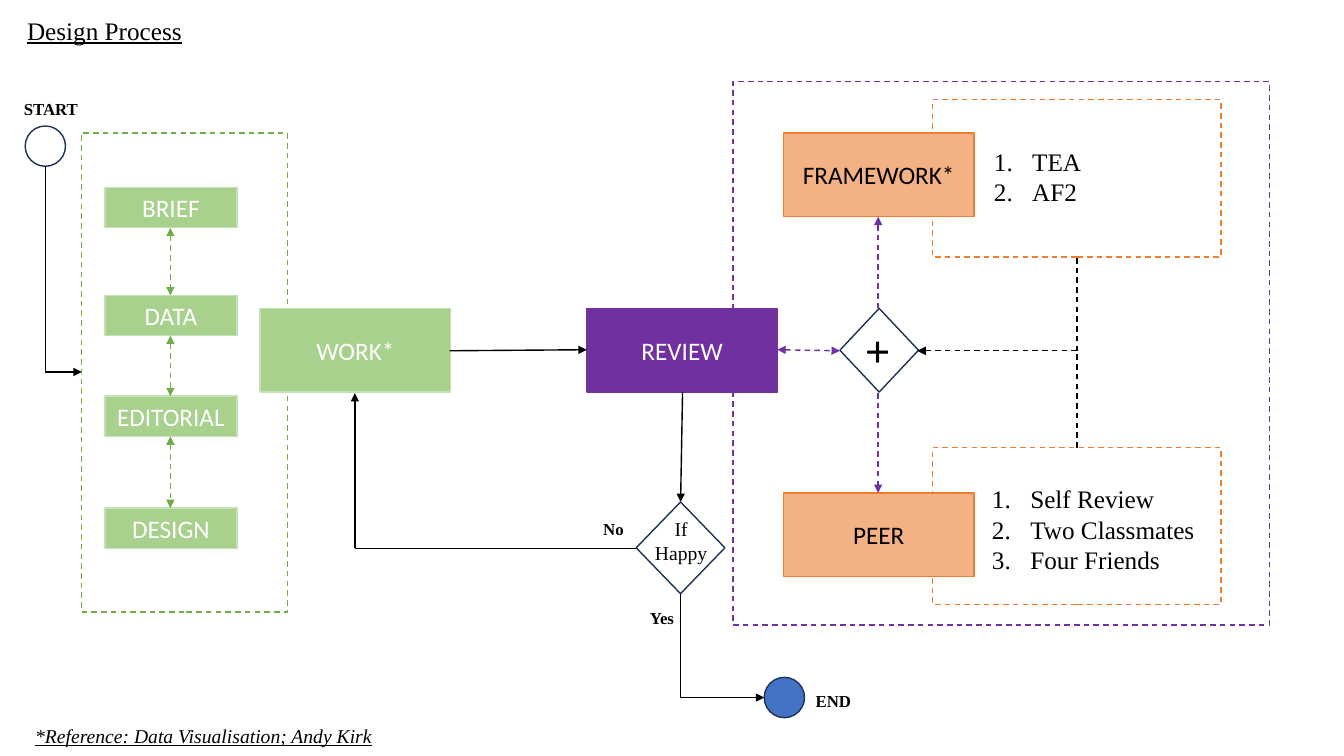
from dataclasses import dataclass

from lxml import etree
from pptx import Presentation
from pptx import util as u
from pptx.dml.color import RGBColor
from pptx.enum import dml, shapes, text
from pptx.oxml.ns import qn


# Colours, fonts and type sizes
@dataclass(frozen=True)
class Theme:
    white: str = "FFFFFF"
    black: str = "000000"
    navy: str = "1E3256"
    blue: str = "4472C4"
    purple: str = "7030A0"
    green: str = "70AD47"
    leaf: str = "A9D18E"
    mint: str = "C5E0B4"
    orange: str = "ED7D31"
    peach: str = "F4B183"
    sans: str = "Calibri"
    serif: str = "Times New Roman"
    plus: int = 32
    body: int = 18
    note: int = 14
    label: int = 12


T = Theme()
KIND = shapes.MSO_SHAPE
MID = text.PP_ALIGN.CENTER


def put(item, **values):
    for name, value in values.items():
        setattr(item, name, value)


def stroke(line, color, dash=False):
    line.color.rgb = RGBColor.from_string(color)
    line.width = u.Pt(1)
    if dash:
        line.dash_style = dml.MSO_LINE.DASH


def write(frame, lines, color=T.black, align=None, **style):
    """Fill a text frame, one paragraph for each line."""
    form = {"name": T.serif, "size": T.body, **style}
    form["size"] = u.Pt(form["size"])
    for i, words in enumerate(lines):
        para = frame.add_paragraph() if i else frame.paragraphs[0]
        para.alignment = align
        run = para.add_run()
        run.text = words
        put(run.font, **form)
        run.font.color.rgb = RGBColor.from_string(color)


def shape(slide, kind, at, fill, line, dash=False):
    item = slide.shapes.add_shape(kind, *map(u.Inches, at))
    item.shadow.inherit = False
    if fill:
        item.fill.solid()
        item.fill.fore_color.rgb = RGBColor.from_string(fill)
    else:
        item.fill.background()
    stroke(item.line, line, dash)
    return item


def box(slide, words, at, fill, line, color):
    """A filled step with a centred name."""
    frame = shape(slide, KIND.RECTANGLE, at, fill, line).text_frame
    put(frame, word_wrap=True, vertical_anchor=text.MSO_ANCHOR.MIDDLE)
    write(frame, [words], color, MID, name=T.sans)


def group(slide, at, line):
    """A dashed frame around related steps."""
    shape(slide, KIND.RECTANGLE, at, T.white, line, dash=True)


def label(slide, lines, at, **style):
    frame = slide.shapes.add_textbox(*map(u.Inches, at)).text_frame
    put(frame, word_wrap=True, auto_size=text.MSO_AUTO_SIZE.SHAPE_TO_FIT_TEXT)
    write(frame, lines, **style)
    return frame


def listing(slide, lines, at):
    """A numbered list with a hanging indent."""
    indent = u.Inches(0.38)
    for para in label(slide, lines, at).paragraphs:
        props = para._p.get_or_add_pPr()
        props.set("marL", str(indent))
        props.set("indent", str(-indent))
        etree.SubElement(props, qn("a:buFont"), typeface="+mj-lt")
        etree.SubElement(props, qn("a:buAutoNum"), type="arabicPeriod")


def arrow(slide, *points, color=T.black, dash=False, both=False):
    """Straight legs through the points, with a head at the last one."""
    legs = list(zip(points, points[1:]))
    for i, (start, end) in enumerate(legs):
        leg = slide.shapes.add_connector(
            shapes.MSO_CONNECTOR.STRAIGHT, *map(u.Inches, start + end))
        stroke(leg.line, color, dash)
        props = leg._element.spPr
        line = props.find(qn("a:ln"))
        if both and i == 0:
            etree.SubElement(line, qn("a:headEnd"), type="triangle")
        if i == len(legs) - 1:
            etree.SubElement(line, qn("a:tailEnd"), type="triangle")
        etree.SubElement(props, qn("a:effectLst"))


def work(slide):
    """Start and the four linked work stages."""
    group(slide, (0.81, 1.32, 2.04, 4.75), T.green)
    box(slide, "WORK*", (2.58, 3.06, 1.89, 0.83), T.leaf, T.mint, T.white)
    tops = {"BRIEF": 1.86, "DATA": 2.93, "EDITORIAL": 3.93, "DESIGN": 5.04}
    high = 0.4
    for name, top in tops.items():
        box(slide, name, (1.04, top, 1.31, high), T.leaf, T.mint, T.white)
    rows = list(tops.values())
    for above, below in zip(rows, rows[1:]):
        arrow(slide, (1.69, above + high), (1.69, below),
              color=T.green, dash=True, both=True)
    shape(slide, KIND.OVAL, (0.25, 1.25, 0.4, 0.4), None, T.navy)
    arrow(slide, (0.45, 1.65), (0.45, 3.69), (0.81, 3.69))


def review(slide):
    """Review with its framework and peer branches."""
    group(slide, (7.27, 0.81, 5.32, 5.39), T.purple)
    box(slide, "REVIEW", (5.82, 3.06, 1.89, 0.83), T.purple, T.purple, T.white)
    branches = [
        ("FRAMEWORK*", 1.32, 0.99, ["TEA", "AF2"], (9.76, 1.4, 2.04, 0.71)),
        ("PEER", 4.89, 4.44, ["Self Review", "Two Classmates", "Four Friends"],
         (9.74, 4.75, 2.21, 1.01)),
    ]
    for name, top, edge, lines, at in branches:
        group(slide, (9.25, edge, 2.86, 1.56), T.orange)
        box(slide, name, (7.77, top, 1.89, 0.83), T.peach, T.orange, T.black)
        listing(slide, lines, at)
    shape(slide, KIND.DIAMOND, (8.33, 3.06, 0.78, 0.83), None, T.navy)
    label(slide, ["+"], (8.48, 3.15, 0.51, 0.64), size=T.plus, bold=True)
    arrow(slide, (7.71, 3.47), (8.33, 3.48),
          color=T.purple, dash=True, both=True)
    for start, end in ((3.06, 2.15), (3.9, 4.89)):
        arrow(slide, (8.71, start), (8.71, end), color=T.purple, dash=True)
    for edge in (2.56, 4.44):
        arrow(slide, (10.68, edge), (10.68, 3.48), (9.1, 3.48), dash=True)


def choice(slide):
    """The decision, its two outcomes and the end."""
    arrow(slide, (4.46, 3.48), (5.82, 3.47))
    arrow(slide, (6.77, 3.89), (6.75, 4.98))
    shape(slide, KIND.DIAMOND, (6.31, 4.98, 0.88, 0.91), None, T.navy)
    label(slide, ["If", "Happy"], (6.11, 5.08, 1.29, 0.57),
          align=MID, size=T.note)
    arrow(slide, (6.31, 5.44), (3.52, 5.44), (3.52, 3.9))
    arrow(slide, (6.75, 5.89), (6.75, 6.92), (7.58, 6.92))
    shape(slide, KIND.OVAL, (7.58, 6.72, 0.4, 0.4), T.blue, T.navy)


def words(slide):
    """Title, small labels and reference."""
    label(slide, ["Design Process"], (0.17, 0.1, 1.75, 0.4), underline=True)
    tags = {
        "START": (0.1, 0.93, 0.81, 0.3),
        "No": (5.86, 5.1, 0.45, 0.3),
        "Yes": (6.34, 5.98, 0.45, 0.3),
        "END": (7.92, 6.8, 0.69, 0.3),
    }
    for name, at in tags.items():
        label(slide, [name], at, align=MID, size=T.label, bold=True)
    label(slide, ["*Reference: Data Visualisation; Andy Kirk"],
          (0.25, 7.13, 4.62, 0.34), size=T.note, italic=True, underline=True)


def main():
    deck = Presentation()
    put(deck, slide_width=u.Inches(13.33), slide_height=u.Inches(7.5))
    slide = deck.slides.add_slide(deck.slide_layouts[6])
    for part in (work, review, choice, words):
        part(slide)
    deck.save("out.pptx")


if __name__ == "__main__":
    main()
